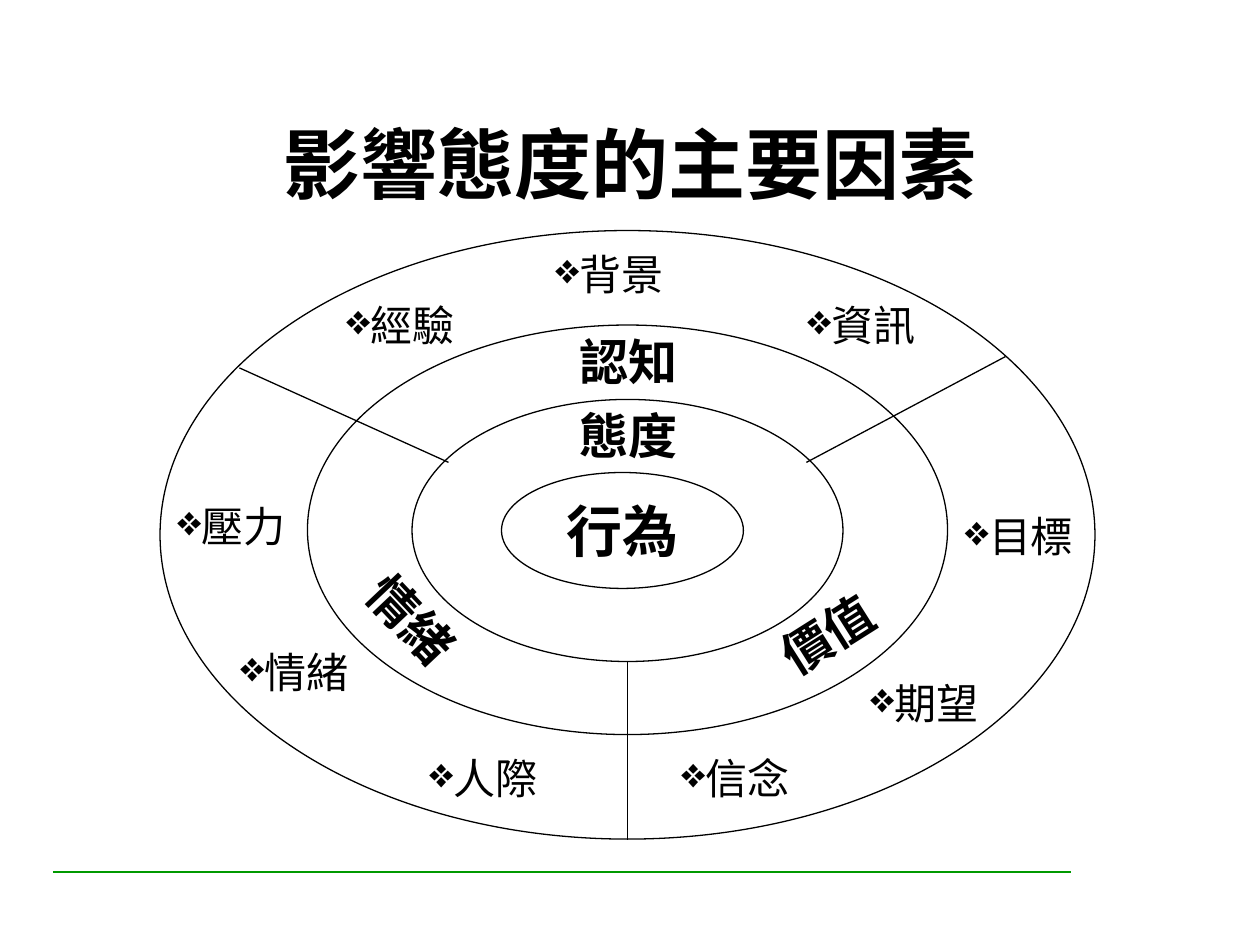
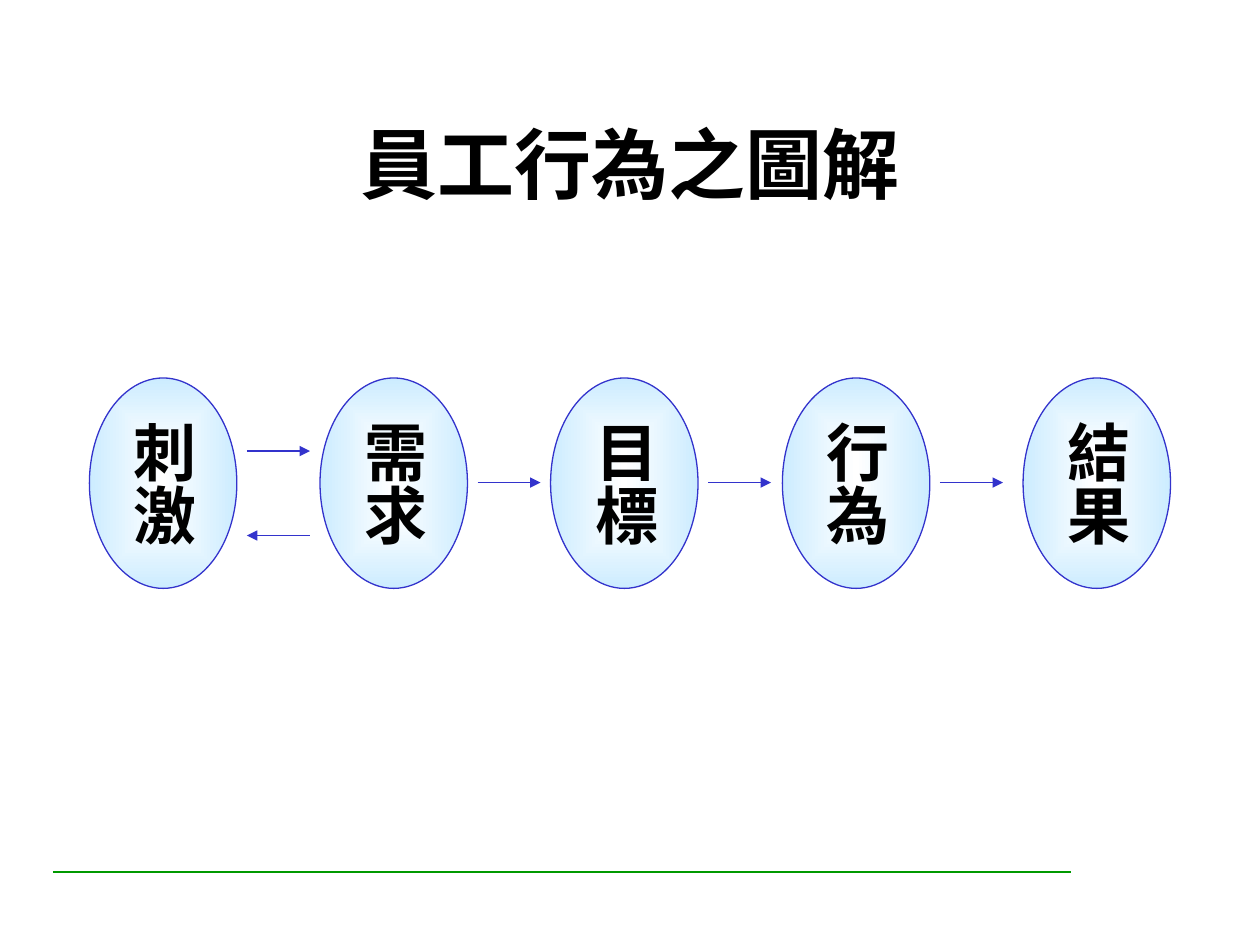
from dataclasses import dataclass

from lxml.etree import SubElement
from pptx import Presentation
from pptx.dml.color import RGBColor
from pptx.enum.shapes import MSO_CONNECTOR as Link, MSO_SHAPE as Preset
from pptx.enum.text import MSO_ANCHOR as Anchor, MSO_AUTO_SIZE as AutoSize, PP_ALIGN as Align
from pptx.oxml.ns import qn
from pptx.shapes.autoshape import Shape
from pptx.shapes.connector import Connector
from pptx.slide import Slide
from pptx.text.text import TextFrame
from pptx.util import Inches, Pt


@dataclass(frozen=True)
class Theme:
    ink: str = "000000"
    rule: str = "009900"
    flow: str = "3333CC"
    glow_center: str = "FFFFFF"
    glow_edge: str = "CCECFF"
    latin: str = "Times New Roman"
    asian: str = "Noto Sans CJK SC"
    title_size: int = 44
    step_size: int = 36
    core_size: int = 32
    layer_size: int = 28
    factor_size: int = 24
    thin: float = 0.75
    thick: float = 1.5


@dataclass(frozen=True)
class Box:
    left: float
    top: float
    width: float
    height: float

    def emu(self) -> tuple[int, int, int, int]:
        return Inches(self.left), Inches(self.top), Inches(self.width), Inches(self.height)


@dataclass(frozen=True)
class Line:
    x1: float
    y1: float
    x2: float
    y2: float


@dataclass(frozen=True)
class Layer:
    text: str
    left: float
    top: float
    rotation: float = 0


@dataclass(frozen=True)
class Factor:
    text: str
    left: float
    top: float


THEME = Theme()
TITLE_BOX = Box(0.81, 0.73, 8.38, 1.13)
FOOTER_RULE = Line(0.42, 6.92, 8.5, 6.92)

CORE = Box(3.98, 3.75, 1.92, 0.92)
RINGS = (
    Box(3.27, 3.17, 3.42, 2.08),
    Box(2.44, 2.58, 5.08, 3.25),
    Box(1.27, 1.83, 7.42, 4.83),
)
DIVIDERS = (
    Line(4.98, 5.25, 4.98, 6.67),
    Line(1.9, 2.92, 3.56, 3.67),
    Line(6.4, 3.67, 7.98, 2.83),
)
LAYERS = (
    Layer("情緒", 2.68, 4.63, 46.6),
    Layer("價值", 5.98, 4.75, 327.7),
    Layer("態度", 4.4, 3.17),
    Layer("認知", 4.4, 2.58),
)
FACTORS = (
    Factor("壓力", 1.31, 3.92),
    Factor("情緒", 1.81, 5.08),
    Factor("人際", 3.31, 5.92),
    Factor("經驗", 2.65, 2.33),
    Factor("背景", 4.31, 1.92),
    Factor("資訊", 6.31, 2.33),
    Factor("目標", 7.56, 4),
    Factor("期望", 6.81, 5.33),
    Factor("信念", 5.31, 5.92),
)
LABEL_WIDTH = 1.17
LAYER_HEIGHT = 0.57
FACTOR_HEIGHT = 0.9

STEPS = {"刺激": 0.71, "需求": 2.54, "目標": 4.37, "行為": 6.21, "結果": 8.12}
STEP_TOP, STEP_WIDTH, STEP_HEIGHT = 3, 1.17, 1.67
ARROW_GAP, ARROW_LENGTH = 0.08, 0.5
FORWARD_Y, MIDDLE_Y, BACK_Y = 3.58, 3.83, 4.25


def rgb(value: str) -> RGBColor:
    return RGBColor.from_string(value)


def write(frame: TextFrame, text: str, size: int, bold: bool = True,
          align: Align = Align.CENTER, latin: str = THEME.latin) -> None:
    paragraph = frame.paragraphs[0]
    paragraph.alignment = align
    run = paragraph.add_run()
    run.text = text
    run.font.size = Pt(size)
    run.font.bold = bold
    run.font.color.rgb = rgb(THEME.ink)
    run.font.name = latin
    SubElement(run.font._element, qn("a:ea"), typeface=THEME.asian)


def add_bullet(frame: TextFrame) -> None:
    properties = frame.paragraphs[0]._p.get_or_add_pPr()
    properties.set("marL", "0")
    properties.set("indent", "0")
    color = SubElement(properties, qn("a:buClr"))
    SubElement(color, qn("a:srgbClr"), val=THEME.ink)
    SubElement(properties, qn("a:buChar"), char="❖")


def add_line(slide: Slide, line: Line, color: str, weight: float = THEME.thin) -> Connector:
    connector = slide.shapes.add_connector(
        Link.STRAIGHT, Inches(line.x1), Inches(line.y1), Inches(line.x2), Inches(line.y2))
    connector.line.color.rgb = rgb(color)
    connector.line.width = Pt(weight)
    SubElement(connector._element.spPr, qn("a:effectLst"))
    return connector


def add_arrow(slide: Slide, line: Line) -> None:
    arrow = add_line(slide, line, THEME.flow)
    SubElement(arrow.line._get_or_add_ln(), qn("a:tailEnd"), type="triangle")


def add_oval(slide: Slide, box: Box, color: str) -> Shape:
    oval = slide.shapes.add_shape(Preset.OVAL, *box.emu())
    oval.shadow.inherit = False
    oval.fill.background()
    oval.line.color.rgb = rgb(color)
    oval.line.width = Pt(THEME.thin)
    oval.text_frame.word_wrap = False
    oval.text_frame.vertical_anchor = Anchor.MIDDLE
    return oval


def add_label(slide: Slide, box: Box) -> Shape:
    label = slide.shapes.add_textbox(*box.emu())
    label.text_frame.word_wrap = True
    return label


def add_glow(oval: Shape) -> None:
    oval.fill.gradient()
    for stop, color in zip(oval.fill.gradient_stops, (THEME.glow_center, THEME.glow_edge)):
        stop.color.rgb = rgb(color)
    gradient = oval._element.spPr.find(qn("a:gradFill"))
    gradient.remove(gradient.find(qn("a:lin")))
    focus = SubElement(gradient, qn("a:path"), path="rect")
    SubElement(focus, qn("a:fillToRect"), l="50000", t="50000", r="50000", b="50000")


def add_step(slide: Slide, name: str, left: float) -> None:
    step = add_oval(slide, Box(left, STEP_TOP, STEP_WIDTH, STEP_HEIGHT), THEME.flow)
    add_glow(step)
    frame = step.text_frame
    frame.margin_left = frame.margin_right = Inches(0.05)
    frame.margin_top = frame.margin_bottom = Inches(0.1)
    frame._txBody.bodyPr.set("vert", "eaVert")
    write(frame, name, THEME.step_size)


def start_slide(deck: Presentation, heading: str) -> Slide:
    slide = deck.slides.add_slide(deck.slide_layouts[5])
    title = slide.shapes.title
    title.left, title.top, title.width, title.height = TITLE_BOX.emu()
    title.text_frame.vertical_anchor = Anchor.MIDDLE
    title.text_frame.auto_size = AutoSize.NONE
    write(title.text_frame, heading, THEME.title_size, latin=THEME.asian)
    add_line(slide, FOOTER_RULE, THEME.rule, THEME.thick)
    return slide


def build_attitude_slide(deck: Presentation) -> None:
    slide = start_slide(deck, "影響態度的主要因素")
    core = add_oval(slide, CORE, THEME.ink)
    write(core.text_frame, "行為", THEME.core_size)
    for ring in RINGS:
        add_oval(slide, ring, THEME.ink)
    for divider in DIVIDERS:
        add_line(slide, divider, THEME.ink)
    for layer in LAYERS:
        label = add_label(slide, Box(layer.left, layer.top, LABEL_WIDTH, LAYER_HEIGHT))
        label.rotation = layer.rotation
        write(label.text_frame, layer.text, THEME.layer_size)
    for factor in FACTORS:
        label = add_label(slide, Box(factor.left, factor.top, LABEL_WIDTH, FACTOR_HEIGHT))
        add_bullet(label.text_frame)
        write(label.text_frame, factor.text, THEME.factor_size, bold=False, align=Align.LEFT)


def build_behavior_slide(deck: Presentation) -> None:
    slide = start_slide(deck, "員工行為之圖解")
    for name, left in STEPS.items():
        add_step(slide, name, left)
    starts = [left + STEP_WIDTH + ARROW_GAP for left in STEPS.values()][:-1]
    for index, start in enumerate(starts):
        y = MIDDLE_Y if index else FORWARD_Y
        add_arrow(slide, Line(start, y, start + ARROW_LENGTH, y))
    add_arrow(slide, Line(starts[0] + ARROW_LENGTH, BACK_Y, starts[0], BACK_Y))


def main() -> None:
    deck = Presentation()
    deck.slide_width, deck.slide_height = Inches(10), Inches(7.5)
    build_attitude_slide(deck)
    build_behavior_slide(deck)
    deck.save("out.pptx")


if __name__ == "__main__":
    main()
